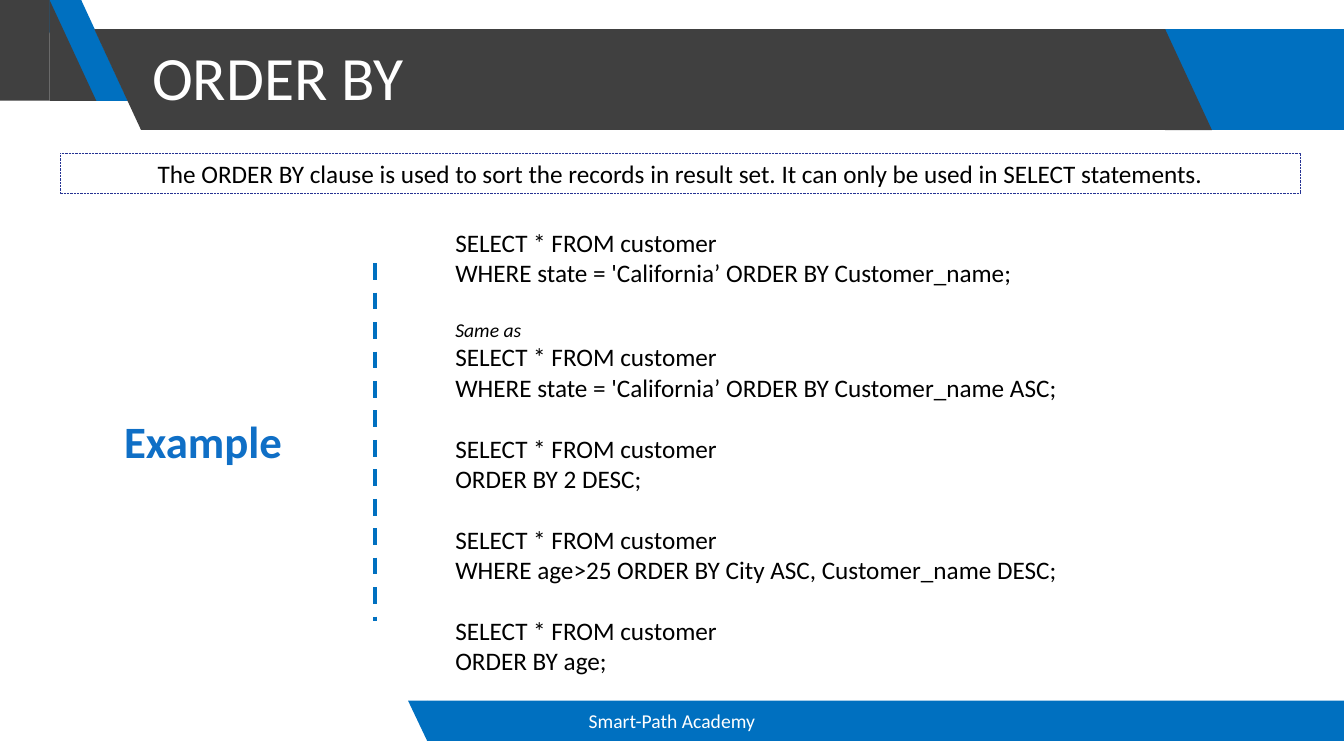
from dataclasses import dataclass
from pptx import Presentation
from pptx.dml.color import RGBColor as Rgb
from pptx.enum.dml import MSO_LINE as Dash
from pptx.enum.shapes import MSO_CONNECTOR as Connector, MSO_SHAPE as Preset
from pptx.enum.text import MSO_ANCHOR as Anchor, MSO_AUTO_SIZE as AutoSize, PP_ALIGN as Align
from pptx.util import Pt
from lxml.etree import SubElement
from pptx.oxml.ns import qn


@dataclass(frozen=True)
class Theme:
    font: str = "Calibri"
    blue: str = "0070C0"
    dark: str = "404040"
    white: str = "FFFFFF"
    black: str = "000000"
    accent: str = "0F6FC6"
    outline: str = "263393"
    title: int = 44
    heading: int = 32
    body: int = 18
    small: int = 14


@dataclass(frozen=True)
class Box:
    left: float
    top: float
    width: float
    height: float


@dataclass(frozen=True)
class Piece:
    box: Box
    color: str
    preset: Preset = Preset.RECTANGLE
    flipped: bool = False


@dataclass(frozen=True)
class Query:
    lines: tuple[str, ...]
    note: str = ""


THEME = Theme()
WIDTH, HEIGHT = 960, 540
BAND_TOP, BAND_HEIGHT, SLANT = 20.9, 72, 33.4
FOOTER_TOP, FOOTER_HEIGHT = 500.5, 28.8
QUERY_GAP = 22
TRIANGLE = Preset.RIGHT_TRIANGLE

PIECES = (
    Piece(Box(769, BAND_TOP, WIDTH - 769, BAND_HEIGHT), THEME.blue),
    Piece(Box(58, 0, SLANT, BAND_HEIGHT), THEME.blue, TRIANGLE),
    Piece(Box(24.6, 0, SLANT, BAND_HEIGHT), THEME.blue, TRIANGLE, True),
    Piece(Box(0, 0, 35.4, BAND_HEIGHT), THEME.dark),
    Piece(Box(35.4, 0, SLANT, BAND_HEIGHT), THEME.dark, TRIANGLE),
    Piece(Box(67.4, BAND_TOP, SLANT, BAND_HEIGHT), THEME.dark, TRIANGLE, True),
    Piece(Box(100.8, BAND_TOP, 731.5, BAND_HEIGHT), THEME.dark),
    Piece(Box(832.3, BAND_TOP, SLANT, BAND_HEIGHT), THEME.dark, TRIANGLE),
    Piece(Box(305.2, FOOTER_TOP, WIDTH - 305.2, FOOTER_HEIGHT), THEME.blue),
    Piece(Box(291.5, FOOTER_TOP, 13.7, FOOTER_HEIGHT), THEME.blue, TRIANGLE, True),
)

QUERIES = (
    Query(("SELECT * FROM customer",
           "WHERE state = 'California’ ORDER BY Customer_name;")),
    Query(("SELECT * FROM customer",
           "WHERE state = 'California’ ORDER BY Customer_name ASC;"), "Same as"),
    Query(("SELECT * FROM customer", "ORDER BY 2 DESC;")),
    Query(("SELECT * FROM customer",
           "WHERE age>25 ORDER BY City ASC, Customer_name DESC;")),
    Query(("SELECT * FROM customer", "ORDER BY age;")),
)


def place(shape, box: Box) -> None:
    shape.left, shape.top = Pt(box.left), Pt(box.top)
    shape.width, shape.height = Pt(box.width), Pt(box.height)


def add_preset(slide, preset: Preset, box: Box):
    shape = slide.shapes.add_shape(
        preset, Pt(box.left), Pt(box.top), Pt(box.width), Pt(box.height))
    shape.shadow.inherit = False
    return shape


def add_piece(slide, piece: Piece) -> None:
    shape = add_preset(slide, piece.preset, piece.box)
    shape.fill.solid()
    shape.fill.fore_color.rgb = Rgb.from_string(piece.color)
    shape.line.fill.background()
    if piece.flipped:
        transform = shape.element.spPr.find(qn("a:xfrm"))
        transform.set("flipH", "1")
        transform.set("flipV", "1")


def add_textbox(slide, box: Box):
    return slide.shapes.add_textbox(
        Pt(box.left), Pt(box.top), Pt(box.width), Pt(box.height))


def write(shape, text: str, *, size: int = THEME.body, color: str = THEME.black,
          align: Align = Align.LEFT, anchor: Anchor = Anchor.TOP, bold: bool = False,
          italic: bool = False, before: float = 0, spacing: float = 1.0,
          append: bool = False) -> None:
    frame = shape.text_frame
    frame.word_wrap = True
    frame.auto_size = AutoSize.NONE
    frame.vertical_anchor = anchor
    para = frame.add_paragraph() if append else frame.paragraphs[0]
    para.alignment = align
    para.line_spacing = spacing
    para.space_before = Pt(before)
    para.space_after = Pt(0)
    properties = para._p.get_or_add_pPr()
    properties.set("marL", "0")
    properties.set("indent", "0")
    SubElement(properties, qn("a:buNone"))
    span = para.add_run()
    span.text = text
    span.font.name = THEME.font
    span.font.size = Pt(size)
    span.font.bold = bold
    span.font.italic = italic
    span.font.color.rgb = Rgb.from_string(color)


def write_queries(shape) -> None:
    for number, query in enumerate(QUERIES):
        gap = QUERY_GAP if number else 0
        if query.note:
            write(shape, query.note, size=THEME.small, italic=True,
                  before=gap, append=number > 0)
            gap = 0
        for position, line in enumerate(query.lines):
            write(shape, line, before=0 if position else gap,
                  append=number + position > 0)


def add_divider(slide) -> None:
    divider = slide.shapes.add_connector(
        Connector.STRAIGHT, Pt(267.8), Pt(188), Pt(267.8), Pt(443.5))
    divider.line.color.rgb = Rgb.from_string(THEME.blue)
    divider.line.width = Pt(3)
    divider.line.dash_style = Dash.DASH
    SubElement(divider.element.spPr, qn("a:effectLst"))


def add_intro(slide) -> None:
    intro = add_preset(slide, Preset.RECTANGLE, Box(42.8, 109.2, 886.3, 29.1))
    intro.fill.background()
    intro.line.color.rgb = Rgb.from_string(THEME.outline)
    intro.line.width = Pt(0.5)
    intro.line.dash_style = Dash.ROUND_DOT
    write(intro, "The ORDER BY clause is used to sort the records in result set. "
          "It can only be used in SELECT statements.", align=Align.CENTER)


def main() -> None:
    deck = Presentation()
    deck.slide_width, deck.slide_height = Pt(WIDTH), Pt(HEIGHT)
    page = deck.slides.add_slide(deck.slide_layouts[1])
    title, body = page.shapes.title, page.placeholders[1]

    for piece in PIECES:
        add_piece(page, piece)

    place(title, Box(101.5, 5, 730, 104.4))
    page.shapes.element.append(title.element)
    write(title, "ORDER BY", size=THEME.title, color=THEME.white,
          anchor=Anchor.MIDDLE, spacing=0.9)

    footer = add_textbox(page, Box(318, FOOTER_TOP, 324, FOOTER_HEIGHT))
    write(footer, "Smart-Path Academy", size=THEME.small, color=THEME.white,
          align=Align.CENTER, anchor=Anchor.MIDDLE)

    add_intro(page)
    add_divider(page)

    heading = add_textbox(page, Box(22.3, 292.3, 245.5, 46))
    write(heading, "Example", size=THEME.heading, color=THEME.accent,
          align=Align.CENTER, bold=True)

    place(body, Box(318, 158.4, 594.7, 329.8))
    page.shapes.element.append(body.element)
    write_queries(body)

    deck.save("out.pptx")


if __name__ == "__main__":
    main()
